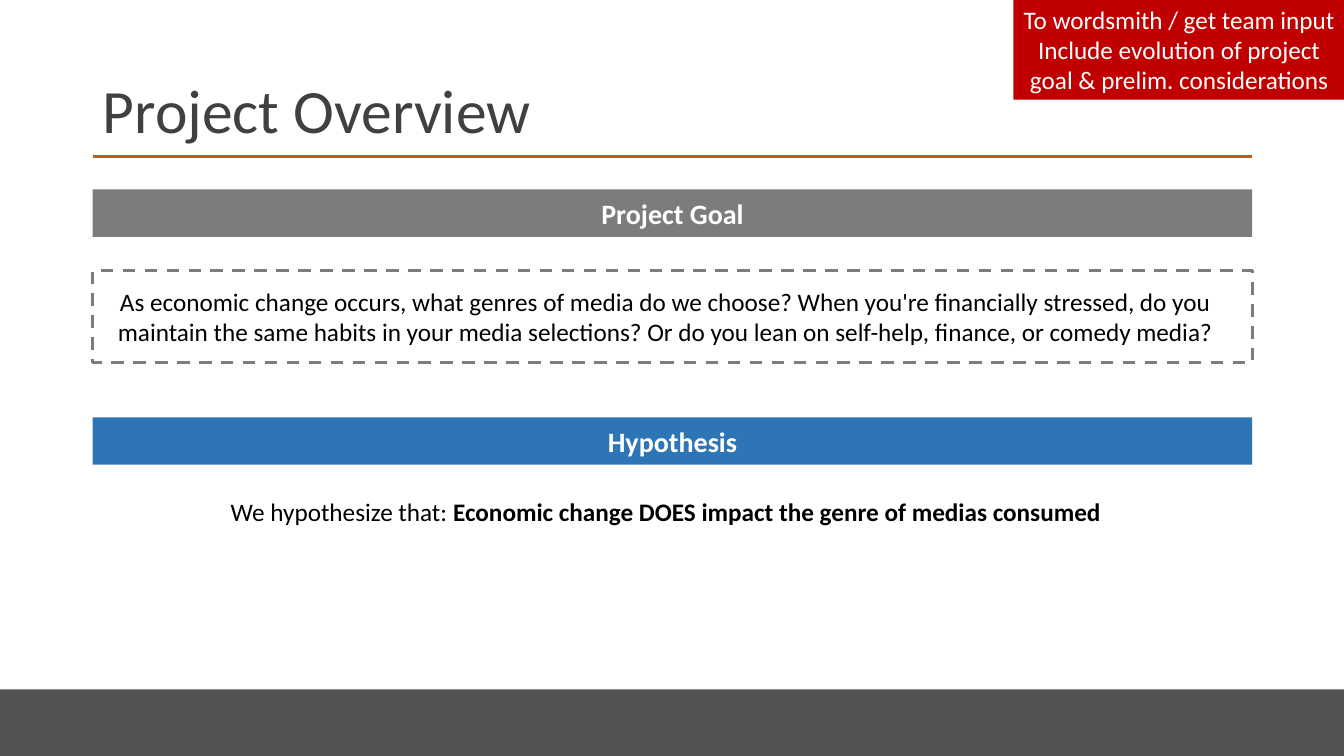
from dataclasses import dataclass
from typing import Optional

from lxml import etree
from pptx import Presentation
from pptx.dml.color import RGBColor
from pptx.enum.dml import MSO_LINE
from pptx.enum.shapes import MSO_CONNECTOR, MSO_SHAPE
from pptx.enum.text import MSO_ANCHOR, PP_ALIGN
from pptx.oxml.ns import qn
from pptx.util import Inches, Pt

FONT = "Calibri"
WHITE = RGBColor(0xFF, 0xFF, 0xFF)
BLACK = RGBColor(0x00, 0x00, 0x00)
TITLE_GRAY = RGBColor(0x40, 0x40, 0x40)
FOOTER_GRAY = RGBColor(0x52, 0x52, 0x52)
GOAL_GRAY = RGBColor(0x7C, 0x7C, 0x7C)
BLUE = RGBColor(0x2E, 0x75, 0xB6)
ORANGE = RGBColor(0xC5, 0x5A, 0x11)
RED = RGBColor(0xC0, 0x00, 0x00)

LEFT, WIDTH = 0.92, 11.5


@dataclass
class Run:
    text: str
    bold: bool = False


@dataclass
class Box:
    left: float
    top: float
    width: float
    height: float
    paragraphs: tuple[tuple[Run, ...], ...] = ()
    fill: Optional[RGBColor] = None
    dash: Optional[RGBColor] = None
    size: float = 18
    color: RGBColor = WHITE


@dataclass
class Label:
    left: float
    top: float
    width: float
    height: float
    runs: tuple[Run, ...]
    wrap: bool = True


def add_run(p, run: Run, size: float, color: RGBColor) -> None:
    r = p.add_run()
    r.text = run.text
    r.font.name = FONT
    r.font.size = Pt(size)
    r.font.bold = run.bold
    r.font.color.rgb = color


def write(tf, paragraphs: tuple[tuple[Run, ...], ...], size: float, color: RGBColor) -> None:
    for i, runs in enumerate(paragraphs):
        p = tf.add_paragraph() if i else tf.paragraphs[0]
        p.alignment = PP_ALIGN.CENTER
        for run in runs:
            add_run(p, run, size, color)


def draw_box(s, box: Box) -> None:
    sp = s.shapes.add_shape(MSO_SHAPE.RECTANGLE, Inches(box.left), Inches(box.top),
                            Inches(box.width), Inches(box.height))
    sp.shadow.inherit = False
    if box.fill is None:
        sp.fill.background()
    else:
        sp.fill.solid()
        sp.fill.fore_color.rgb = box.fill
    if box.dash is None:
        sp.line.fill.background()
    else:
        sp.line.color.rgb = box.dash
        sp.line.width = Pt(2.25)
        sp.line.dash_style = MSO_LINE.DASH
    tf = sp.text_frame
    tf.word_wrap = True
    tf.vertical_anchor = MSO_ANCHOR.MIDDLE
    write(tf, box.paragraphs, box.size, box.color)


def draw_label(s, label: Label) -> None:
    sp = s.shapes.add_textbox(Inches(label.left), Inches(label.top),
                              Inches(label.width), Inches(label.height))
    sp.text_frame.word_wrap = label.wrap
    write(sp.text_frame, (label.runs,), 18, BLACK)


def draw_title(s, text: str) -> None:
    sp = s.shapes.title
    sp.left, sp.top = Inches(LEFT), Inches(0.4)
    sp.width, sp.height = Inches(WIDTH), Inches(1.45)
    tf = sp.text_frame
    tf.vertical_anchor = MSO_ANCHOR.MIDDLE
    p = tf.paragraphs[0]
    p.alignment = PP_ALIGN.LEFT
    p.line_spacing = 0.9
    add_run(p, Run(text), 44, TITLE_GRAY)


def draw_rule(s, top: float) -> None:
    line = s.shapes.add_connector(MSO_CONNECTOR.STRAIGHT, Inches(LEFT), Inches(top),
                                  Inches(LEFT + WIDTH), Inches(top))
    line.line.color.rgb = ORANGE
    line.line.width = Pt(2.25)
    etree.SubElement(line._element.spPr, qn("a:effectLst"))


def heading(top: float, text: str, fill: RGBColor) -> Box:
    return Box(LEFT, top, WIDTH, 0.47, ((Run(text, True),),), fill, size=20)


BOXES = (
    Box(0, 6.84, 13.33, 0.66, fill=FOOTER_GRAY),
    heading(1.88, "Project Goal", GOAL_GRAY),
    heading(4.14, "Hypothesis", BLUE),
    Box(LEFT, 2.68, WIDTH, 0.92, dash=GOAL_GRAY),
    Box(10.05, -0.01, 3.29, 1, (
        (Run("To wordsmith / get team input"),),
        (Run("Include evolution of project goal & prelim. considerations"),),
    ), RED),
)

LABELS = (
    Label(LEFT, 2.79, 11.36, 0.71, (
        Run("As economic change occurs, what genres of media do we choose? "
            "When you're financially stressed, do you maintain the same habits in your "
            "media selections? Or do you lean on self-help, finance, or comedy media?"),
    )),
    Label(1.99, 4.87, 9.23, 0.4, (
        Run("We hypothesize that: "),
        Run("Economic change DOES impact the genre of medias consumed", True),
    ), wrap=False),
)


def main() -> None:
    prs = Presentation()
    prs.slide_width, prs.slide_height = Inches(13.33), Inches(7.5)
    s = prs.slides.add_slide(prs.slide_layouts[5])
    draw_title(s, "Project Overview")
    draw_rule(s, 1.55)
    for box in BOXES:
        draw_box(s, box)
    for label in LABELS:
        draw_label(s, label)
    prs.save("out.pptx")


if __name__ == "__main__":
    main()
